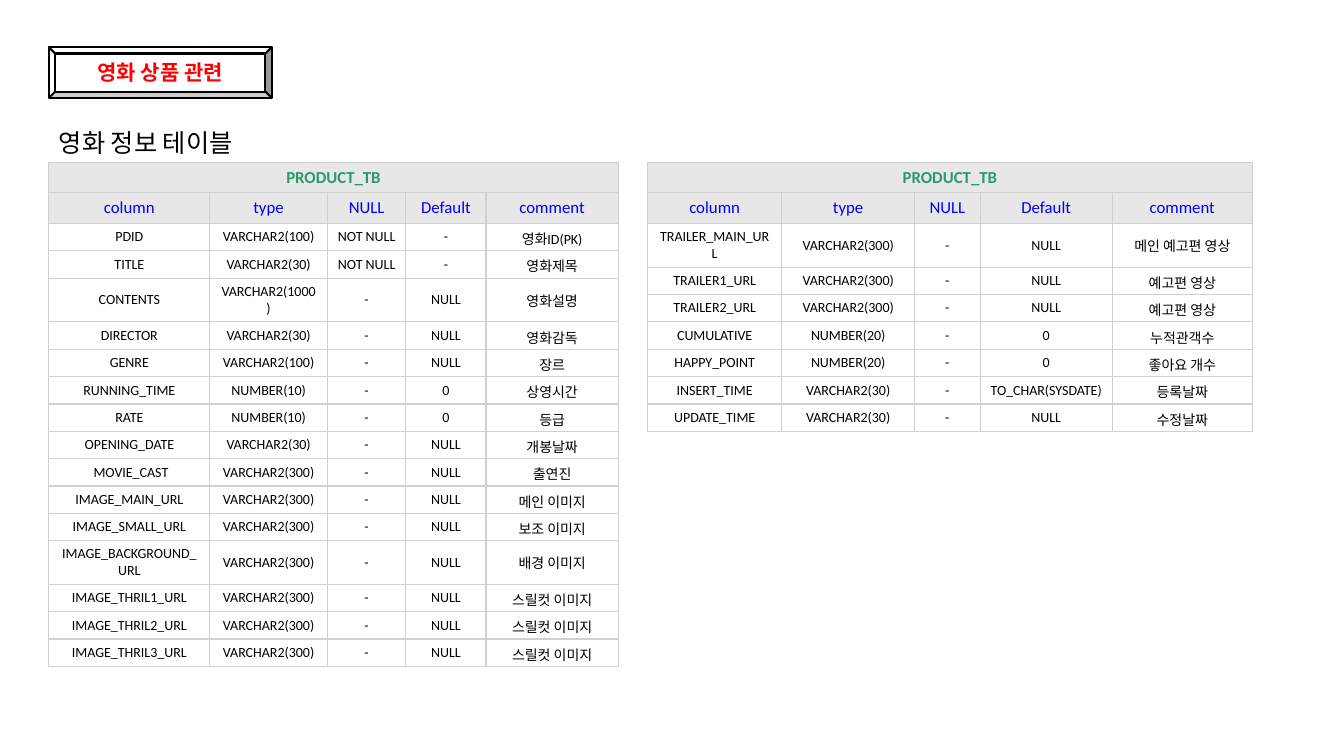
from lxml.etree import SubElement
from pptx import Presentation
from pptx.dml.color import RGBColor
from pptx.enum.shapes import MSO_SHAPE
from pptx.enum.text import MSO_ANCHOR, MSO_AUTO_SIZE, PP_ALIGN
from pptx.oxml.ns import qn
from pptx.util import Cm, Pt

HEADINGS = ("column", "type", "NULL", "Default", "comment")

PRODUCT_COLUMNS = [
    ("PDID", "VARCHAR2(100)", "NOT NULL", "-", "영화ID(PK)"),
    ("TITLE", "VARCHAR2(30)", "NOT NULL", "-", "영화제목"),
    ("CONTENTS", "VARCHAR2(1000)", "-", "NULL", "영화설명"),
    ("DIRECTOR", "VARCHAR2(30)", "-", "NULL", "영화감독"),
    ("GENRE", "VARCHAR2(100)", "-", "NULL", "장르"),
    ("RUNNING_TIME", "NUMBER(10)", "-", "0", "상영시간"),
    ("RATE", "NUMBER(10)", "-", "0", "등급"),
    ("OPENING_DATE", "VARCHAR2(30)", "-", "NULL", "개봉날짜"),
    (" MOVIE_CAST", "VARCHAR2(300)", "-", "NULL", "출연진"),
    ("IMAGE_MAIN_URL", "VARCHAR2(300)", "-", "NULL", "메인 이미지"),
    ("IMAGE_SMALL_URL", "VARCHAR2(300)", "-", "NULL", "보조 이미지"),
    ("IMAGE_BACKGROUND_URL", "VARCHAR2(300)", "-", "NULL", "배경 이미지"),
    ("IMAGE_THRIL1_URL", "VARCHAR2(300)", "-", "NULL", "스릴컷 이미지"),
    ("IMAGE_THRIL2_URL", "VARCHAR2(300)", "-", "NULL", "스릴컷 이미지"),
    ("IMAGE_THRIL3_URL", "VARCHAR2(300)", "-", "NULL", "스릴컷 이미지"),
]

TRAILER_COLUMNS = [
    ("TRAILER_MAIN_URL", "VARCHAR2(300)", "-", "NULL", "메인 예고편 영상"),
    ("TRAILER1_URL", "VARCHAR2(300)", "-", "NULL", "예고편 영상"),
    ("TRAILER2_URL", "VARCHAR2(300)", "-", "NULL", "예고편 영상"),
    ("CUMULATIVE", "NUMBER(20)", "-", "0", "누적관객수"),
    ("HAPPY_POINT", "NUMBER(20)", "-", "0", "좋아요 개수"),
    ("INSERT_TIME", "VARCHAR2(30)", "-", "TO_CHAR(SYSDATE)", "등록날짜"),
    ("UPDATE_TIME", "VARCHAR2(30)", "-", "NULL", "수정날짜"),
]


def color(hex_code):
    return RGBColor.from_string(hex_code)


class SchemaPage:
    font = "Calibri"
    black, white, red = "000000", "FFFFFF", "FF0000"
    green, blue = "289B6E", "0000FF"
    header_fill, border = "E7E7E7", "D0D0D0"
    header_height, row_height = Cm(0.77), Cm(0.69)

    def __init__(self, deck):
        self.page = deck.slides.add_slide(deck.slide_layouts[5])

    def set_text(self, frame, text, size, hex_code, bold=False, align=PP_ALIGN.CENTER):
        frame.text = text
        para = frame.paragraphs[0]
        para.alignment = align
        for span in para.runs:
            span.font.name = self.font
            span.font.size = Pt(size)
            span.font.bold = bold
            span.font.color.rgb = color(hex_code)

    def title(self, text, left, top, width, height):
        box = self.page.shapes.title
        box.left, box.top, box.width, box.height = Cm(left), Cm(top), Cm(width), Cm(height)
        frame = box.text_frame
        frame.word_wrap = True
        frame.auto_size = MSO_AUTO_SIZE.SHAPE_TO_FIT_TEXT
        frame.vertical_anchor = MSO_ANCHOR.TOP
        self.set_text(frame, text, 18, self.black, align=PP_ALIGN.LEFT)

    def badge(self, text, left, top, width, height):
        box = self.page.shapes.add_shape(
            MSO_SHAPE.BEVEL, Cm(left), Cm(top), Cm(width), Cm(height))
        box.shadow.inherit = False
        box.fill.solid()
        box.fill.fore_color.rgb = color(self.white)
        box.line.color.rgb = color(self.black)
        box.line.width = Pt(1.5)
        box.text_frame.vertical_anchor = MSO_ANCHOR.MIDDLE
        self.set_text(box.text_frame, text, 15, self.red, bold=True)

    def cell(self, cell, text, fill, size, hex_code, bold=False):
        # Borders come before the fill in the cell properties
        properties = cell._tc.get_or_add_tcPr()
        for side in ("a:lnL", "a:lnR", "a:lnT", "a:lnB"):
            line = SubElement(properties, qn(side), w=str(Pt(1)))
            solid = SubElement(line, qn("a:solidFill"))
            SubElement(solid, qn("a:srgbClr"), val=self.border)
        cell.fill.solid()
        cell.fill.fore_color.rgb = color(fill)
        cell.vertical_anchor = MSO_ANCHOR.MIDDLE
        self.set_text(cell.text_frame, text, size, hex_code, bold)

    def table(self, name, records, left, top, widths):
        height = 2 * self.header_height + len(records) * self.row_height
        table = self.page.shapes.add_table(
            len(records) + 2, len(widths), Cm(left), Cm(top), Cm(sum(widths)), height).table
        for column, width in zip(table.columns, widths):
            column.width = Cm(width)
        for index, row in enumerate(table.rows):
            row.height = self.header_height if index < 2 else self.row_height

        # Table name across all columns
        table.cell(0, 0).merge(table.cell(0, len(widths) - 1))
        for position, cell in enumerate(table.rows[0].cells):
            self.cell(cell, "" if position else name, self.header_fill, 12, self.green, True)

        # Headings, then one row per database column
        for index, values in enumerate([HEADINGS, *records], start=1):
            style = ((self.header_fill, 12, self.blue) if index == 1
                     else (self.white, 10, self.black))
            for cell, value in zip(table.rows[index].cells, values):
                self.cell(cell, value, *style)


def main():
    deck = Presentation()
    deck.slide_width, deck.slide_height = Cm(33.87), Cm(19.05)
    schema = SchemaPage(deck)

    # Section badge and title
    schema.badge("영화 상품 관련", 1.23, 1.19, 5.62, 1.28)
    schema.title("영화 정보 테이블", 1.23, 3.07, 7.57, 1.03)

    # Both halves of the table description
    schema.table("PRODUCT_TB", PRODUCT_COLUMNS, 1.23, 4.09, (4.06, 2.96, 1.98, 2.02, 3.33))
    schema.table("PRODUCT_TB", TRAILER_COLUMNS, 16.32, 4.09, (3.38, 3.35, 1.65, 3.33, 3.53))

    deck.save("out.pptx")


if __name__ == "__main__":
    main()
